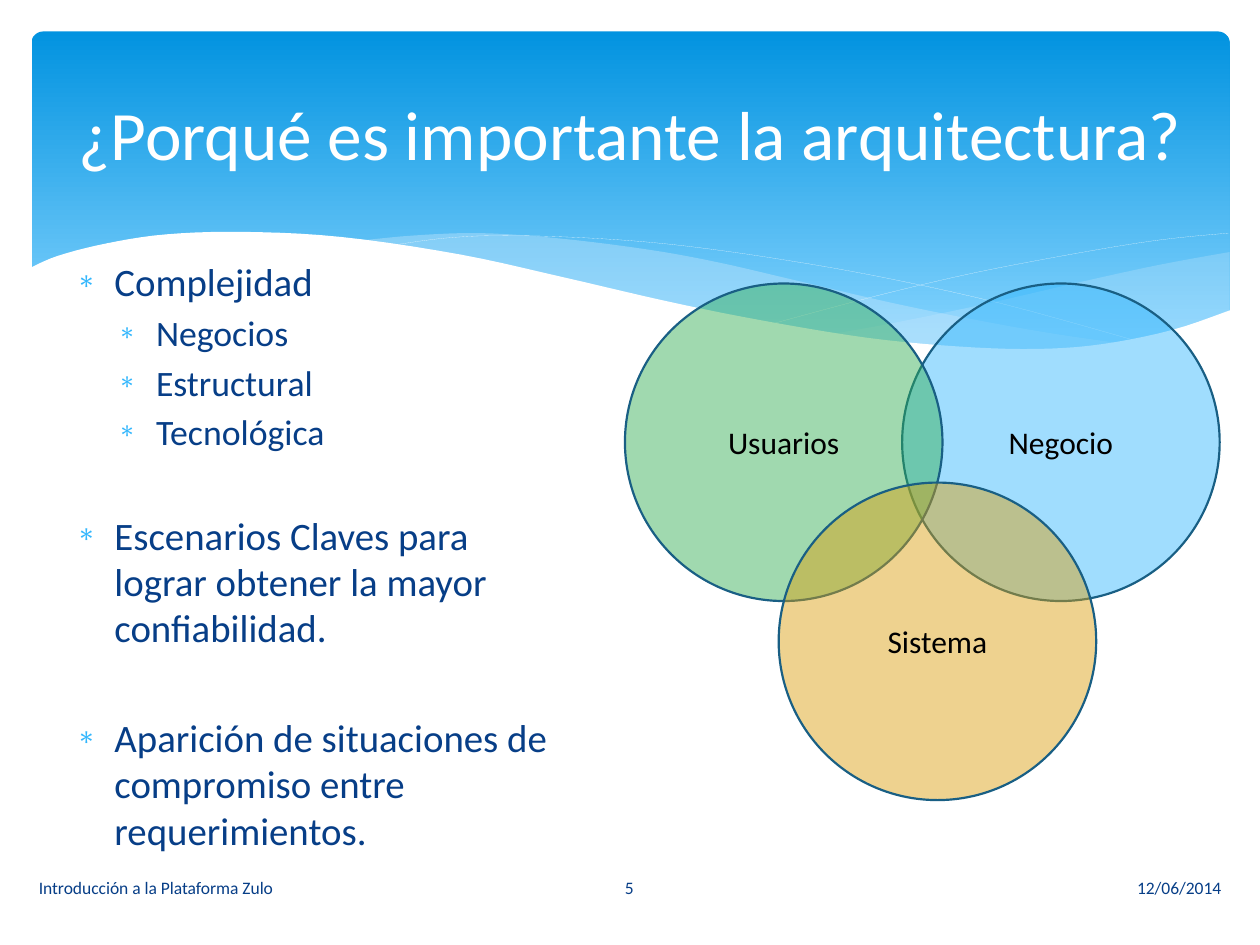
from lxml import etree
from pptx import Presentation
from pptx.dml.color import RGBColor
from pptx.enum.shapes import MSO_SHAPE
from pptx.enum.text import MSO_ANCHOR, PP_ALIGN
from pptx.oxml.ns import qn
from pptx.util import Pt

ROUNDED, OVAL = MSO_SHAPE.ROUNDED_RECTANGLE, MSO_SHAPE.OVAL
MIDDLE = MSO_ANCHOR.MIDDLE
LEFT, CENTER, RIGHT = PP_ALIGN.LEFT, PP_ALIGN.CENTER, PP_ALIGN.RIGHT

THEME = {
    "font": "Calibri",
    "white": "FFFFFF", "black": "000000", "navy": "073E87", "bullet": "31B6FD",
    "sky_top": "0293E0", "sky_bottom": "83D3FE", "haze": "C6E7FC",
    "users": "32AE51", "business": "31B6FD", "system": "DC9F0C", "rim": "195F84",
    "title": 39.6, "topic": 22.2, "subtopic": 20.4, "label": 18, "footer": 10,
}


def write(paragraph, text, size, color, **paragraph_format):
    """Put one formatted run in a paragraph."""
    run = paragraph.add_run()
    run.text = text
    font_format = {"name": THEME["font"], "size": Pt(THEME[size])}
    for attribute, value in font_format.items():
        setattr(run.font, attribute, value)
    run.font.color.rgb = RGBColor.from_string(THEME[color])
    for attribute, value in paragraph_format.items():
        setattr(paragraph, attribute, value)


def smooth(knots, steps=5):
    """Catmull-Rom curve through the knots."""
    padded = [knots[0], *knots, knots[-1]]
    curve = [knots[0]]
    for a, b, c, d in zip(padded, padded[1:], padded[2:], padded[3:]):
        for step in range(1, steps + 1):
            t = step / steps
            curve.append(tuple(
                0.5 * (2 * q + (r - p) * t + (2 * p - 5 * q + 4 * r - s) * t ** 2
                       + (3 * q - p - 3 * r + s) * t ** 3)
                for p, q, r, s in zip(a, b, c, d)))
    return curve


deck = Presentation()
deck.slide_width, deck.slide_height = Pt(720), Pt(540)
slide = deck.slides.add_slide(deck.slide_layouts[5])
shapes = slide.shapes
translucent = []

# Header panel
header = shapes.add_shape(ROUNDED, Pt(18), Pt(18), Pt(684.72), Pt(194.4))
header.adjustments[0] = 0.034
header.shadow.inherit = False
header.line.fill.background()
header.fill.gradient()
header.fill.gradient_angle = 270
sky = (("sky_top", 0), ("sky_bottom", 0.9))
for stop, (color, position) in zip(header.fill.gradient_stops, sky):
    stop.color.rgb = RGBColor.from_string(THEME[color])
    stop.position = position

# Waves: edges, fill and opacity; a wave without fill is a hairline
right_haze = [
    [(475.9, 190.8), (508.3, 185), (560.9, 174.2), (619.9, 160.6), (663.1, 151.2),
     (702.7, 144)],
    [(702.7, 177.8), (673.2, 188.6), (645.8, 194.4), (614.9, 198.7), (578.2, 200.2),
     (536.4, 198), (497.5, 193.7), (475.9, 190.8)],
]
middle_haze = [
    [(205.9, 137.5), (236.2, 134.6), (273.6, 133.2), (318.2, 136.1), (370.1, 142.6),
     (409.7, 149.8), (452.9, 159.8), (508.3, 172.8), (558, 182.9), (602.6, 190.8),
     (643, 196.6)],
    [(643, 196.6), (617, 199.4), (581, 200.2), (538.6, 198.7), (489.6, 193),
     (432.7, 183.6), (381.6, 172.8), (323.3, 159.8), (275.8, 149), (232.6, 141.1),
     (205.9, 137.5)],
]
falling_line = [
    [(222.5, 140.4), (254.2, 136.1), (288.7, 134.6), (337.7, 136.1), (383.8, 139.7),
     (437.8, 146.9), (500.4, 157.7), (572.4, 173.5), (653, 195.8)],
]
rising_line = [
    [(441.4, 185), (500.4, 169.2), (558.7, 155.5), (623.5, 143.3), (665.3, 136.8),
     (702, 133.2)],
]
white_front = [
    [(16.6, 153.4), (33, 146.2), (61.2, 139), (95, 133.9), (139, 132.5), (195, 135.4),
     (262.8, 145.4), (321.8, 158.4), (380.9, 172.1), (434.2, 182.9), (495.4, 193),
     (547.9, 198), (592.6, 199.4), (630, 196.6), (669.6, 188.6), (703.4, 177.1)],
    [(703.4, 236.9), (16.6, 236.9)],
]
waves = [
    (right_haze, "haze", 29), (middle_haze, "haze", 40),
    (falling_line, None, 100), (rising_line, None, 100), (white_front, "white", 100),
]
for edges, color, opacity in waves:
    outline = [(x * 100, y * 100) for edge in edges for x, y in smooth(edge)]
    builder = shapes.build_freeform(*outline[0], scale=Pt(0.01))
    builder.add_line_segments(outline[1:], close=color is not None)
    wave = builder.convert_to_shape()
    wave.shadow.inherit = False
    if color:
        wave.fill.solid()
        wave.fill.fore_color.rgb = RGBColor.from_string(THEME[color])
        wave.line.fill.background()
        translucent.append((wave, opacity))
    else:
        wave.fill.background()
        wave.line.color.rgb = RGBColor.from_string(THEME["white"])
        wave.line.width = Pt(0.05)

# Topics: text, level, space before
topics = [
    ("Complejidad", 0, 0),
    ("Negocios", 1, 4), ("Estructural", 1, 4), ("Tecnológica", 1, 4),
    ("Escenarios Claves para lograr obtener la mayor confiabilidad.", 0, 33.9),
    ("Aparición de situaciones de compromiso entre requerimientos.", 0, 36.4),
]
body = shapes.add_textbox(Pt(36.72), Pt(145), Pt(289.44), Pt(338.4)).text_frame
body.word_wrap = True
for index, (text, level, gap) in enumerate(topics):
    paragraph = body.paragraphs[0] if index == 0 else body.add_paragraph()
    write(paragraph, text, ("topic", "subtopic")[level], "navy",
          level=level, space_before=Pt(gap), line_spacing=0.99)
    properties = paragraph._p.get_or_add_pPr()
    properties.set("marL", str(Pt((21.6, 45.36)[level])))
    properties.set("indent", str(Pt(-21.6)))
    bullet_color = etree.SubElement(properties, qn("a:buClr"))
    etree.SubElement(bullet_color, qn("a:srgbClr"), val=THEME["bullet"])
    etree.SubElement(properties, qn("a:buSzPct"), val="70000")
    etree.SubElement(properties, qn("a:buChar"), char="∗")

# Title, in front of the header
title = shapes.title
shapes.element.append(title.element)
place = {"left": Pt(36), "top": Pt(26.64), "width": Pt(648), "height": Pt(98.64)}
for attribute, value in place.items():
    setattr(title, attribute, value)
title.text_frame.vertical_anchor = MIDDLE
write(title.text_frame.paragraphs[0], "¿Porqué es importante la arquitectura?",
      "title", "white", alignment=CENTER)

# Overlapping circles
circles = [
    ("Negocio", "business", 515.52, 162),
    ("Usuarios", "users", 357.12, 162),
    ("Sistema", "system", 444.96, 275.76),
]
for text, color, left, top in circles:
    circle = shapes.add_shape(OVAL, Pt(left), Pt(top), Pt(181.44), Pt(181.44))
    circle.shadow.inherit = False
    circle.fill.solid()
    circle.fill.fore_color.rgb = RGBColor.from_string(THEME[color])
    circle.line.color.rgb = RGBColor.from_string(THEME["rim"])
    circle.line.width = Pt(1.25)
    circle.text_frame.vertical_anchor = MIDDLE
    write(circle.text_frame.paragraphs[0], text, "label", "black", alignment=CENTER)
    translucent.append((circle, 46))

# Opacity of haze and circles
for part, opacity in translucent:
    fill_color = part.element.spPr.find(qn("a:solidFill"))[0]
    etree.SubElement(fill_color, qn("a:alpha"), val=str(opacity * 1000))

# Footer
footers = [
    ("12/06/2014", 406.8, 298.08, RIGHT),
    ("Introducción a la Plataforma Zulo", 15.12, 298.08, LEFT),
    ("5", 313.92, 91.44, CENTER),
]
for text, left, width, alignment in footers:
    footer = shapes.add_textbox(Pt(left), Pt(492.48), Pt(width), Pt(28.8)).text_frame
    footer.word_wrap = True
    footer.vertical_anchor = MIDDLE
    write(footer.paragraphs[0], text, "footer", "navy", alignment=alignment)

deck.save("out.pptx")
